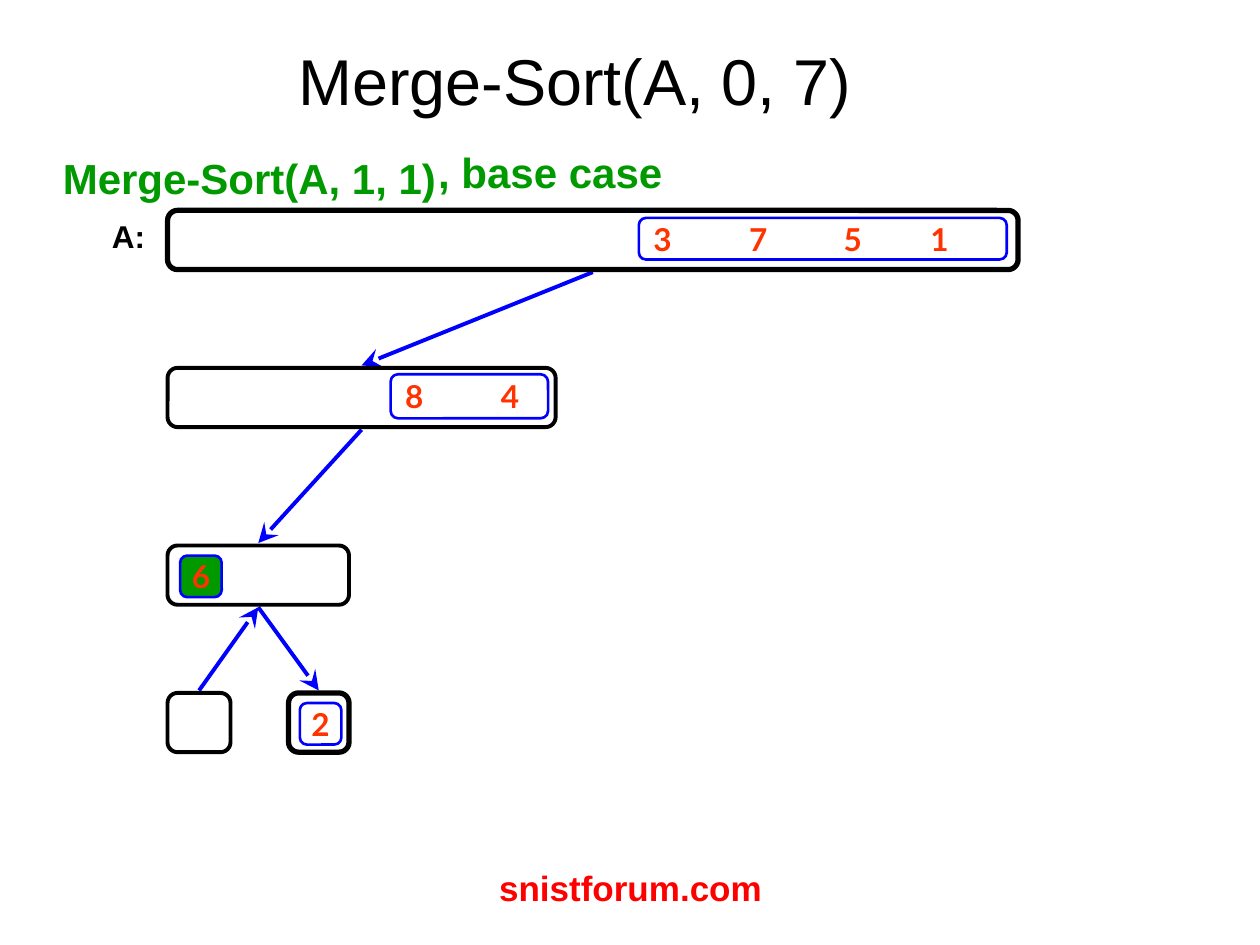
import pptx
import pptx.util
import pptx.dml.color
import pptx.enum.shapes
import pptx.enum.text
import lxml.etree
import pptx.oxml.ns

COLORS = {"ink": "000000", "blue": "0000FF", "green": "009900",
          "digit": "FF3300", "footer": "FF0000"}
ALIGN = pptx.enum.text.PP_ALIGN
ANCHOR = pptx.enum.text.MSO_ANCHOR
qn = pptx.oxml.ns.qn

deck = pptx.Presentation()
deck.slide_width = pptx.util.Inches(10)
deck.slide_height = pptx.util.Inches(7.5)
slide = deck.slides.add_slide(deck.slide_layouts[6])
column = deck.slide_width / 100
row = deck.slide_height / 75


def write(box, text, size, font, color, bold, align, anchor, inset):
    frame = box.text_frame
    frame.word_wrap = True
    frame.vertical_anchor = anchor
    frame.margin_left = frame.margin_right = int(inset * column)
    frame.margin_top = frame.margin_bottom = int(inset * row / 2)
    para = frame.paragraphs[0]
    para.alignment = align
    span = para.add_run()
    span.text = text
    span.font.size = pptx.util.Pt(size)
    span.font.name = font
    span.font.bold = bold
    span.font.color.rgb = pptx.dml.color.RGBColor.from_string(COLORS[color])
    return para


def add_frame(left, top, width, height, line, weight, fill=None):
    box = slide.shapes.add_shape(
        pptx.enum.shapes.MSO_SHAPE.ROUNDED_RECTANGLE,
        int(left * column), int(top * row), int(width * column), int(height * row))
    box.shadow.inherit = False
    box.adjustments[0] = 0.17
    box.line.color.rgb = pptx.dml.color.RGBColor.from_string(COLORS[line])
    box.line.width = pptx.util.Pt(weight)
    if fill:
        box.fill.solid()
        box.fill.fore_color.rgb = pptx.dml.color.RGBColor.from_string(COLORS[fill])
    else:
        box.fill.background()
    return box


array_height = 4.7
arrow_gap = 0.2
arrays = {
    "whole": (13.3, 16.7, 67.5, 3),
    "half": (13.3, 29.2, 30.8, 2.25),
    "quarter": (13.3, 43.3, 14.4, 2.25),
    "first": (13.3, 55, 5, 2.25),
    "second": (22.9, 55, 4.8, 3),
}

for parent, child, returning in [("whole", "half", False), ("half", "quarter", False),
                                 ("quarter", "first", True), ("quarter", "second", False)]:
    left, top, width, weight = arrays[parent]
    ends = [(left + width / 2, top + array_height + arrow_gap)]
    left, top, width, weight = arrays[child]
    ends.append((left + width / 2, top - arrow_gap))
    if returning:
        ends.reverse()
    (start_x, start_y), (tip_x, tip_y) = ends
    arrow = slide.shapes.add_connector(
        pptx.enum.shapes.MSO_CONNECTOR.STRAIGHT,
        int(start_x * column), int(start_y * row), int(tip_x * column), int(tip_y * row))
    arrow.line.color.rgb = pptx.dml.color.RGBColor.from_string(COLORS["blue"])
    arrow.line.width = pptx.util.Pt(2.25)
    lxml.etree.SubElement(arrow.line._get_or_add_ln(), qn("a:tailEnd"),
                          type="stealth", w="lg", len="lg")
    lxml.etree.SubElement(arrow._element.spPr, qn("a:effectLst"))

for left, top, width, weight in arrays.values():
    add_frame(left, top, width, array_height, "ink", weight)

for digits, stops, left, top, width, height, fill in [
    ("3\t7\t5\t1", (7.6, 15.1, 22), 50.7, 17.3, 29.2, 3.3, None),
    ("8\t4", (7.6,), 31, 29.7, 12.5, 3.5, None),
    ("6", (), 14.3, 44.1, 3.3, 3.3, "green"),
    ("2", (), 23.8, 55.8, 3.3, 3.3, None),
]:
    box = add_frame(left, top, width, height, "blue", 1.5, fill)
    para = write(box, digits, 18, "Lato", "digit", True,
                 ALIGN.LEFT if stops else ALIGN.CENTER, ANCHOR.MIDDLE,
                 1 if stops else 0)
    if stops:
        tabs = lxml.etree.SubElement(para._p.get_or_add_pPr(), qn("a:tabLst"))
        for stop in stops:
            lxml.etree.SubElement(tabs, qn("a:tab"), pos=str(int(stop * column)), algn="l")

for text, left, top, width, height, size, color, bold, align, anchor in [
    ("Merge-Sort(A, 1, 1)", 4, 11.6, 34, 5, 24, "green", True, ALIGN.LEFT, ANCHOR.TOP),
    (", base case", 33.8, 11.1, 24.3, 5, 24, "green", True, ALIGN.LEFT, ANCHOR.TOP),
    ("A:", 7.9, 16.7, 5.4, 4, 18, "ink", True, ALIGN.LEFT, ANCHOR.TOP),
    ("Merge-Sort(A, 0, 7)", 4.4, 3.5, 82.5, 6.4, 37, "ink", False, ALIGN.CENTER, ANCHOR.BOTTOM),
    ("snistforum.com", 34.2, 68.3, 31.7, 5.2, 20, "footer", True, ALIGN.CENTER, ANCHOR.TOP),
]:
    box = slide.shapes.add_textbox(
        int(left * column), int(top * row), int(width * column), int(height * row))
    write(box, text, size, "Arial", color, bold, align, anchor, 1)

deck.save("out.pptx")
